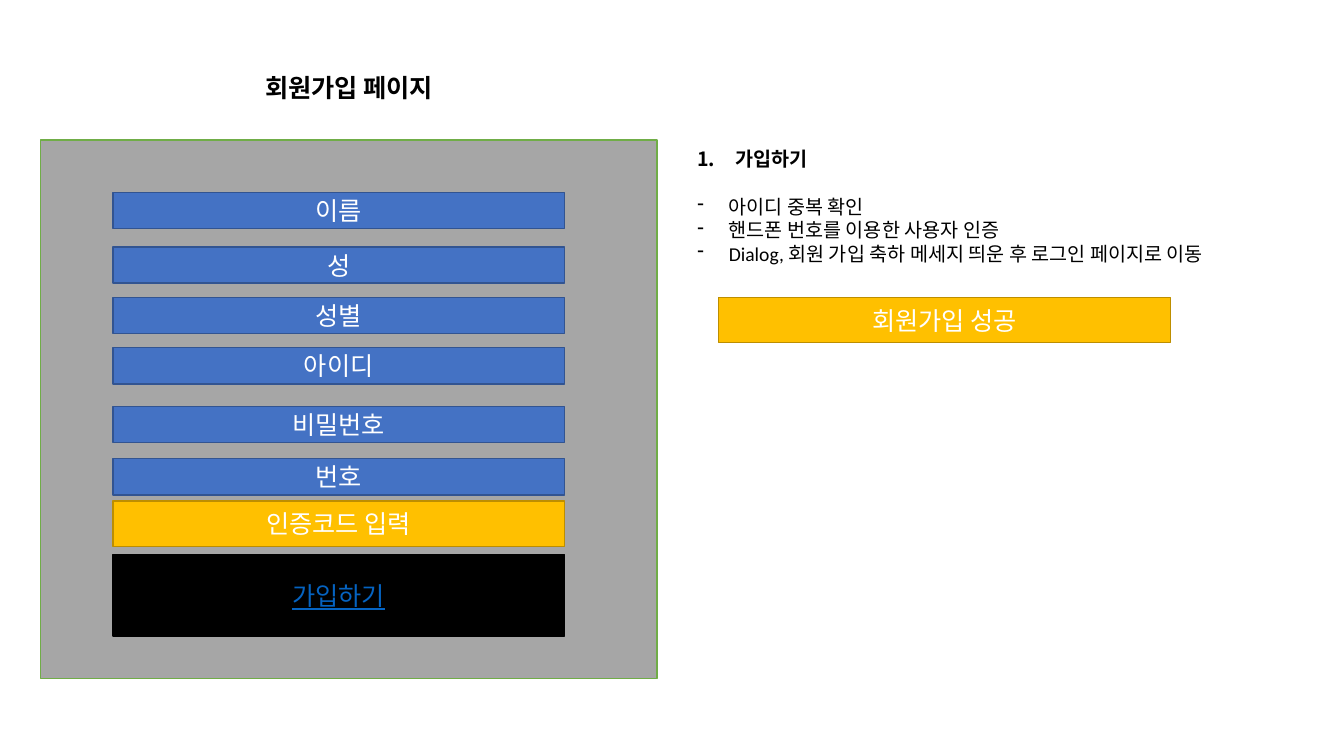
from lxml import etree
from pptx import Presentation
from pptx.dml.color import RGBColor
from pptx.enum import shapes, text
from pptx.oxml.ns import qn
from pptx.util import Pt

FONT = "Calibri"
BLUE, BLUE_EDGE = "4472C4", "325491"
GOLD, GOLD_EDGE = "FFC000", "BD8E00"
BLACK, WHITE, LINK = "000000", "FFFFFF", "0563C1"
GREY, GREEN = "A6A6A6", "70AD47"

FIELD_LEFT, FIELD_WIDTH = 80.6, 322.6
FIELD_HEIGHT, GOLD_HEIGHT = 25.9, 32.4
FIELDS = [
    ("이름", 137.5),
    ("성", 176.4),
    ("성별", 212.4),
    ("아이디", 248.4),
    ("비밀번호", 290.2),
    ("번호", 327.6),
]
SIGN_UP_STEPS = [
    "아이디 중복 확인",
    "핸드폰 번호를 이용한 사용자 인증",
    "Dialog, 회원 가입 축하 메세지 띄운 후 로그인 페이지로 이동",
]


def colour(hex_value):
    return RGBColor.from_string(hex_value)


def add_run(paragraph, words, hex_value, **formats):
    run = paragraph.add_run()
    run.text = words
    run.font.color.rgb = colour(hex_value)
    for name, value in {"name": FONT, **formats}.items():
        setattr(run.font, name, value)


def add_box(slide, left, top, width, height, fill, edge):
    box = slide.shapes.add_shape(
        shapes.MSO_SHAPE.RECTANGLE, Pt(left), Pt(top), Pt(width), Pt(height))
    box.shadow.inherit = False
    box.fill.solid()
    box.fill.fore_color.rgb = colour(fill)
    box.line.color.rgb = colour(edge)
    box.line.width = Pt(1)
    return box


def add_field(slide, words, top, height=FIELD_HEIGHT, fill=BLUE, edge=BLUE_EDGE,
              left=FIELD_LEFT, font_colour=WHITE, **formats):
    """Add a form box of the common width with a centred label."""
    box = add_box(slide, left, top, FIELD_WIDTH, height, fill, edge)
    box.text_frame.vertical_anchor = text.MSO_ANCHOR.MIDDLE
    paragraph = box.text_frame.paragraphs[0]
    paragraph.alignment = text.PP_ALIGN.CENTER
    add_run(paragraph, words, font_colour, size=Pt(18), **formats)


def add_text_box(slide, left, top, width, height):
    box = slide.shapes.add_textbox(Pt(left), Pt(top), Pt(width), Pt(height))
    box.text_frame.word_wrap = True
    return box.text_frame


def set_bullet(paragraph, indent, tag, **attributes):
    properties = paragraph._p.get_or_add_pPr()
    properties.set("marL", str(Pt(indent)))
    properties.set("indent", str(-Pt(indent)))
    etree.SubElement(properties, qn(tag), attributes)


def add_title(slide):
    frame = add_text_box(slide, 182.2, 48.2, 147.6, 28.8)
    add_run(frame.paragraphs[0], "회원가입 페이지", BLACK, size=Pt(18), bold=True)


def add_description(slide):
    frame = add_text_box(slide, 491, 101.5, 415.4, 92.2)
    heading = frame.paragraphs[0]
    set_bullet(heading, 27, "a:buAutoNum", type="arabicPeriod")
    add_run(heading, "가입하기", BLACK, size=Pt(14), bold=True)
    for index, step in enumerate(SIGN_UP_STEPS):
        paragraph = frame.add_paragraph()
        set_bullet(paragraph, 22.5, "a:buChar", char="-")
        if index == 0:
            paragraph.space_before = Pt(17)
        add_run(paragraph, step, BLACK, size=Pt(14))


def main():
    presentation = Presentation()
    presentation.slide_width, presentation.slide_height = Pt(960), Pt(540)
    slide = presentation.slides.add_slide(presentation.slide_layouts[6])

    add_box(slide, 28.8, 100.1, 440.6, 384.5, GREY, GREEN)
    add_title(slide)
    add_description(slide)
    for words, top in FIELDS:
        add_field(slide, words, top)
    add_field(slide, "인증코드 입력", 357.8, GOLD_HEIGHT, GOLD, GOLD_EDGE)
    add_field(slide, "가입하기", 396, 58.3, BLACK, BLACK,
              font_colour=LINK, underline=True)
    add_field(slide, "회원가입 성공", 212.4, GOLD_HEIGHT, GOLD, GOLD_EDGE, left=513.4)

    presentation.save("out.pptx")


if __name__ == "__main__":
    main()
